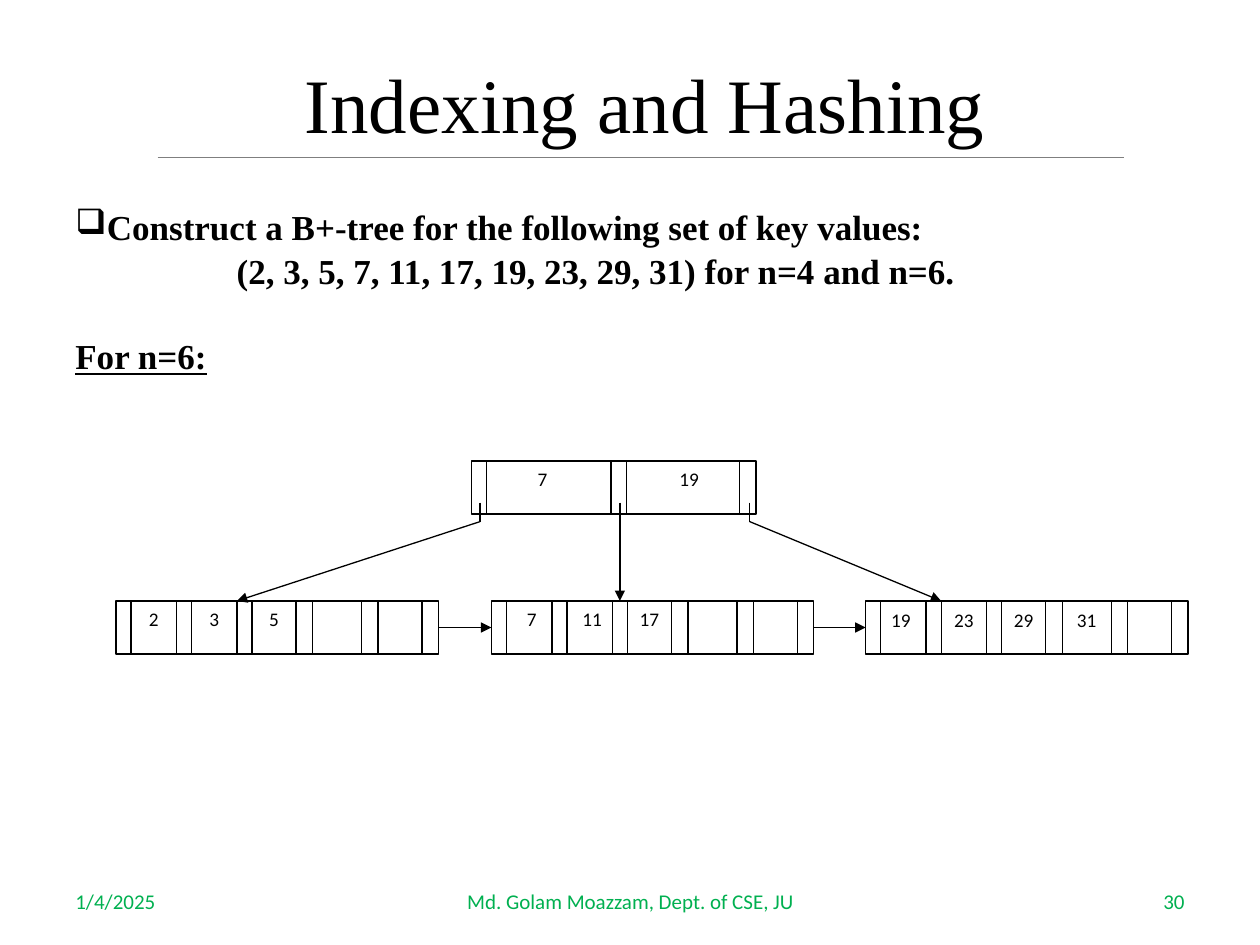
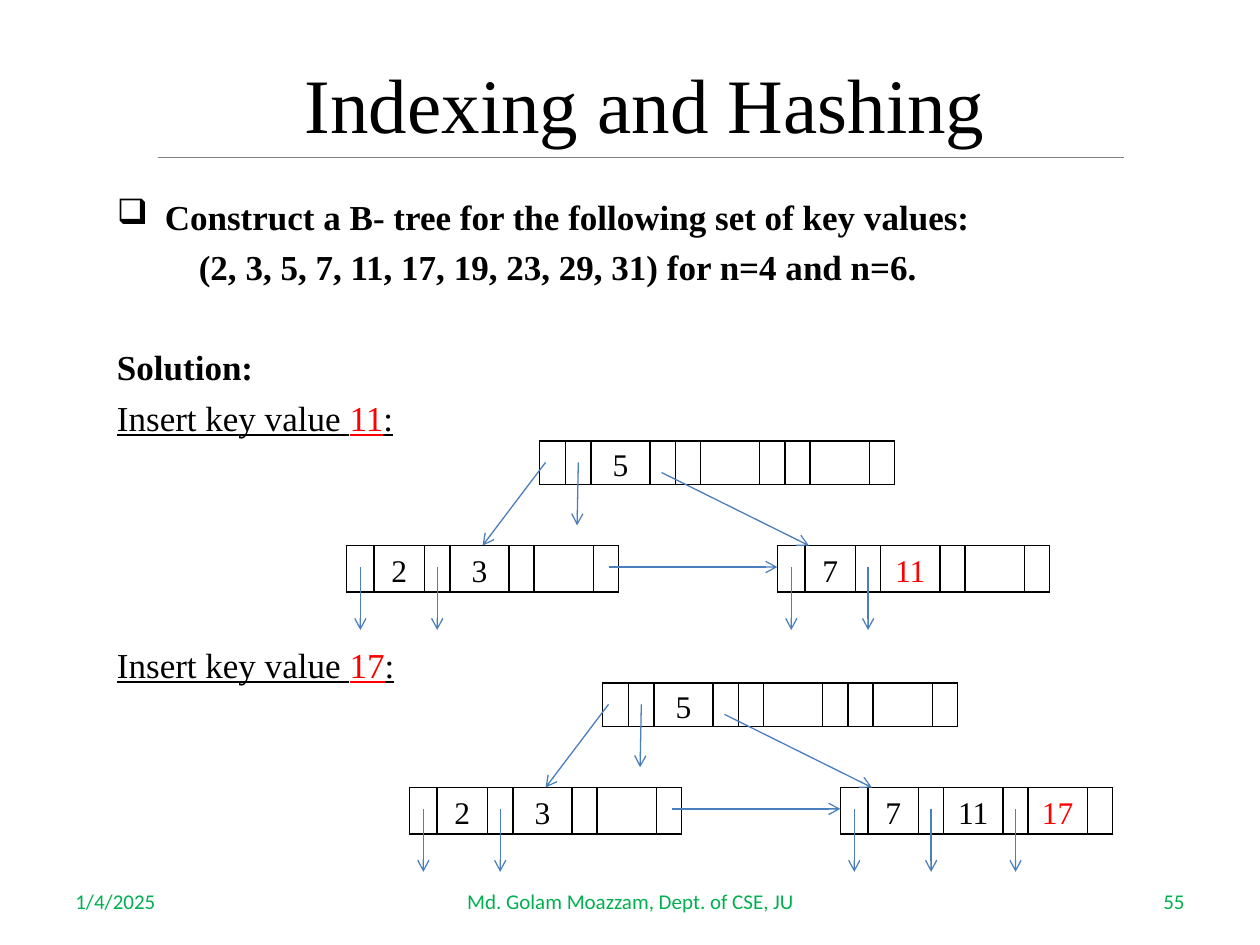
from itertools import accumulate

from lxml.etree import SubElement
from pptx import Presentation
from pptx.dml.color import RGBColor
from pptx.enum.shapes import MSO_CONNECTOR, MSO_SHAPE
from pptx.enum.text import MSO_ANCHOR, PP_ALIGN
from pptx.oxml.ns import qn
from pptx.util import Inches, Pt

BLACK, RED, GREEN, BLUE, GRAY = "000000", "FF0000", "00B050", "4B7EBC", "7F7F7F"
SERIF, SANS = "Times New Roman", "Calibri"
LINE_WIDTH = 0.75

ROOT_WIDTHS = (0.12, 0.99, 0.12, 0.90, 0.13)
LEAF_WIDTHS = (0.12, 0.36, 0.12, 0.36, 0.12, 0.35, 0.13, 0.39, 0.13, 0.35, 0.13)
NODE_HEIGHT = 0.42

ROOT_COLUMNS = (0.21,) + (0.2, 0.47, 0.2) * 3
LEAF_COLUMNS = (0.22, 0.4, 0.2, 0.47, 0.2, 0.47, 0.2)
LEAF_DROP = 0.83
LEAF_STEP = 3.42
POINTER_LENGTH = 0.5


def color(value):
    """Turn a hex string into a colour."""
    return RGBColor.from_string(value)


def style_font(font, size, name, tone=BLACK, bold=False, underline=False):
    """Set the look of a font."""
    font.size, font.name = Pt(size), name
    font.bold, font.underline = bold, underline
    font.color.rgb = color(tone)


def add_text_box(slide, left, top, width, height, anchor=MSO_ANCHOR.TOP, inset=None):
    """Add an empty wrapping text box and return its text frame."""
    shape = slide.shapes.add_textbox(*map(Inches, (left, top, width, height)))
    frame = shape.text_frame
    frame.word_wrap, frame.vertical_anchor = True, anchor
    if inset is not None:
        frame.margin_left = frame.margin_right = Inches(inset)
        frame.margin_top = frame.margin_bottom = Inches(inset)
    return frame


def add_label(slide, box, text, size, name, tone=BLACK, align=PP_ALIGN.CENTER,
              anchor=MSO_ANCHOR.MIDDLE, inset=None):
    """Add a text box with a single line of text."""
    paragraph = add_text_box(slide, *box, anchor, inset).paragraphs[0]
    paragraph.text, paragraph.alignment = text, align
    style_font(paragraph.font, size, name, tone)


def add_line(slide, start, end, tone=BLACK, head=None):
    """Add a straight line, with an arrowhead at its end if one is named."""
    points = map(Inches, (*start, *end))
    connector = slide.shapes.add_connector(MSO_CONNECTOR.STRAIGHT, *points)
    connector.line.color.rgb = color(tone)
    connector.line.width = Pt(LINE_WIDTH)
    if head:
        SubElement(connector.line._get_or_add_ln(), qn("a:tailEnd"), type=head)
    SubElement(connector._element.spPr, qn("a:effectLst"))
    return connector


def add_frame(slide, number):
    """Add the title, its rule and the footers."""
    add_label(slide, (1.33, 0.38, 7.58, 0.87), "Indexing and Hashing", 44, SERIF)
    add_line(slide, (1.25, 1.25), (8.92, 1.25), GRAY)
    footers = (
        (0.5, 2.33, "1/4/2025", PP_ALIGN.LEFT),
        (3.42, 3.17, "Md. Golam Moazzam, Dept. of CSE, JU", PP_ALIGN.CENTER),
        (7.17, 2.33, str(number), PP_ALIGN.RIGHT),
    )
    for left, width, text, align in footers:
        add_label(slide, (left, 6.95, width, 0.4), text, 12, SANS, GREEN, align)


def add_paragraph(frame, parts, before=0, margin=0, bullet=False, bold=True,
                  underline=False):
    """Fill the next paragraph with parts, the second of them in red."""
    paragraph = frame.paragraphs[0]
    if paragraph.runs:
        paragraph = frame.add_paragraph()
    paragraph.space_before = Pt(before)
    properties = paragraph._p.get_or_add_pPr()
    properties.set("marL", str(Inches(margin)))
    properties.set("indent", str(-Inches(margin) if bullet else 0))
    if bullet:
        SubElement(properties, qn("a:buChar"), char="❑")
    style_font(paragraph.font, 20, SERIF, BLACK, bold, underline)
    for index, part in enumerate(parts):
        run = paragraph.add_run()
        run.text = part
        if index == 1:
            run.font.color.rgb = color(RED)


def add_task(frame, tree_name, bullet_margin, keys_margin, gap):
    """Write the two lines that state the exercise."""
    add_paragraph(frame, [f"Construct a {tree_name} for the following set of key values:"],
                  margin=bullet_margin, bullet=True)
    add_paragraph(frame, ["(2, 3, 5, 7, 11, 17, 19, 23, 29, 31) for n=4 and n=6."],
                  before=gap, margin=keys_margin)


def add_node(slide, left, top, widths, keys, label_drop=0.05):
    """Draw a divided node; keys maps each text to its shift from the cell centre."""
    edges = [left + edge for edge in accumulate(widths, initial=0)]
    outline = slide.shapes.add_shape(
        MSO_SHAPE.RECTANGLE,
        *map(Inches, (left, top, sum(widths), NODE_HEIGHT)))
    outline.shadow.inherit = False
    outline.fill.background()
    outline.line.color.rgb = color(BLACK)
    outline.line.width = Pt(LINE_WIDTH)
    for edge in edges[1:-1]:
        add_line(slide, (edge, top), (edge, top + NODE_HEIGHT))
    for (text, shift), start, end in zip(keys.items(), edges[1::2], edges[2::2]):
        box = ((start + end) / 2 + shift - 0.2, top + label_drop, 0.4, 0.3)
        add_label(slide, box, text, 11, SANS, anchor=MSO_ANCHOR.TOP, inset=0)
    return outline


def add_sibling_arrow(slide, first, second):
    """Link the right side of one node to the left side of the next."""
    arrow = add_line(slide, (0, 0), (1, 1), head="triangle")
    arrow.begin_connect(first, 3)
    arrow.end_connect(second, 1)


def add_table_node(slide, left, top, columns, height, keys, first, step, new_key=None):
    """Add a one-row table whose keys start in column first, step columns apart."""
    shape = slide.shapes.add_table(
        1, len(columns), *map(Inches, (left, top, sum(columns), height)))
    table = shape.table
    table.first_row = table.horz_banding = False
    texts = {first + step * index: key for index, key in enumerate(keys)}
    for index, width in enumerate(columns):
        table.columns[index].width = Inches(width)
        cell = table.cell(0, index)
        cell.margin_left = cell.margin_right = Inches(0.07)
        cell.margin_top = cell.margin_bottom = 0
        cell.vertical_anchor = MSO_ANCHOR.MIDDLE
        add_borders(cell)
        cell.fill.background()
        key = texts.get(index, "")
        paragraph = cell.text_frame.paragraphs[0]
        paragraph.text, paragraph.alignment = key, PP_ALIGN.CENTER
        paragraph.line_spacing = 1.15
        style_font(paragraph.font, 18, SERIF, RED if key and key == new_key else BLACK)


def add_borders(cell):
    """Give a cell thin black borders on all sides."""
    properties = cell._tc.get_or_add_tcPr()
    for side in ("lnL", "lnR", "lnT", "lnB"):
        border = SubElement(properties, qn(f"a:{side}"), w=str(Pt(1)))
        fill = SubElement(border, qn("a:solidFill"))
        SubElement(fill, qn("a:srgbClr"), val=BLACK)


def add_b_tree(slide, left, top, right_keys, new_key):
    """Draw a root, two leaves and their pointers."""
    leaf_top = top + LEAF_DROP
    add_table_node(slide, left + 1.53, top, ROOT_COLUMNS, 0.33, ["5"], 2, 3)
    pointers = [
        ((1.58, 0.17), (1.08, LEAF_DROP)),
        ((1.84, 0.17), (1.83, 0.17 + POINTER_LENGTH)),
        ((2.5, 0.25), (3.67, LEAF_DROP)),
        ((2.08, 1), (LEAF_STEP, 1)),
    ]
    column_edges = list(accumulate(LEAF_COLUMNS, initial=0))
    for offset, keys in ((0, ["2", "3"]), (LEAF_STEP, right_keys)):
        add_table_node(slide, left + offset, leaf_top, LEAF_COLUMNS, 0.37, keys,
                       1, 2, new_key)
        for index in range(len(keys)):
            start, end = column_edges[2 * index:2 * index + 2]
            center = offset + (start + end) / 2
            pointers.append(((center, 1), (center, 1 + POINTER_LENGTH)))
    for start, end in pointers:
        add_line(slide, (left + start[0], top + start[1]),
                 (left + end[0], top + end[1]), BLUE, "arrow")


def build_b_plus_slide(slide):
    """Build the B+-tree for n=6."""
    add_frame(slide, 30)
    frame = add_text_box(slide, 0.5, 1.58, 9, 1.92)
    add_task(frame, "B+-tree", 0.25, 1.28, 1)
    add_paragraph(frame, ["For n=6:"], before=25, underline=True)

    leaf_top = 4.77
    add_node(slide, 3.74, 3.66, ROOT_WIDTHS, {"7": -0.05, "19": 0.05})
    leaves = [
        add_node(slide, 0.92, leaf_top, LEAF_WIDTHS, {"2": 0, "3": 0, "5": 0}),
        add_node(slide, 3.9, leaf_top, LEAF_WIDTHS, {"7": 0.02, "11": 0.02, "17": 0}),
        add_node(slide, 6.87, leaf_top, LEAF_WIDTHS,
                 {"19": -0.02, "23": 0, "29": 0, "31": 0}, 0.06),
    ]
    for first, second in zip(leaves, leaves[1:]):
        add_sibling_arrow(slide, first, second)
    for pointer, target in ((3.81, 1.88), (4.92, 4.92), (5.95, 7.47)):
        add_line(slide, (pointer, 3.99), (pointer, 4.14))
        add_line(slide, (pointer, 4.14), (target, leaf_top), head="triangle")


def build_b_tree_slide(slide):
    """Build the B-tree insertions of 11 and 17."""
    add_frame(slide, 55)
    frame = add_text_box(slide, 0.83, 1.5, 9, 5.58)
    add_task(frame, "B- tree", 0.38, 0.65, 5)
    add_paragraph(frame, ["Solution:"], before=33)
    for key, before in (("11", 5), ("17", 117)):
        add_paragraph(frame, ["Insert key value ", key, ":"], before,
                      bold=False, underline=True)
    add_b_tree(slide, 2.75, 3.5, ["7", "11"], "11")
    add_b_tree(slide, 3.25, 5.42, ["7", "11", "17"], "17")


def main():
    """Build and save the presentation."""
    presentation = Presentation()
    presentation.slide_width, presentation.slide_height = Inches(10), Inches(7.5)
    for build in (build_b_plus_slide, build_b_tree_slide):
        build(presentation.slides.add_slide(presentation.slide_layouts[6]))
    presentation.save("out.pptx")


if __name__ == "__main__":
    main()
